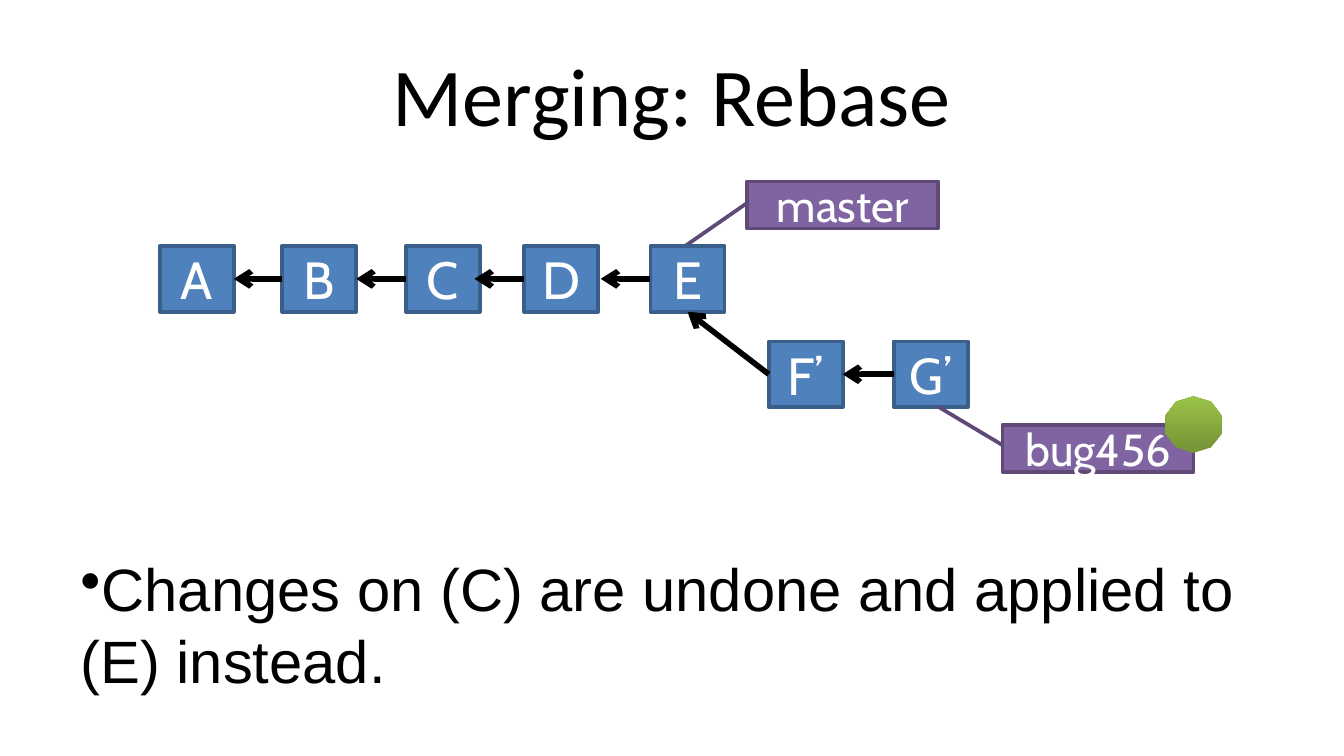
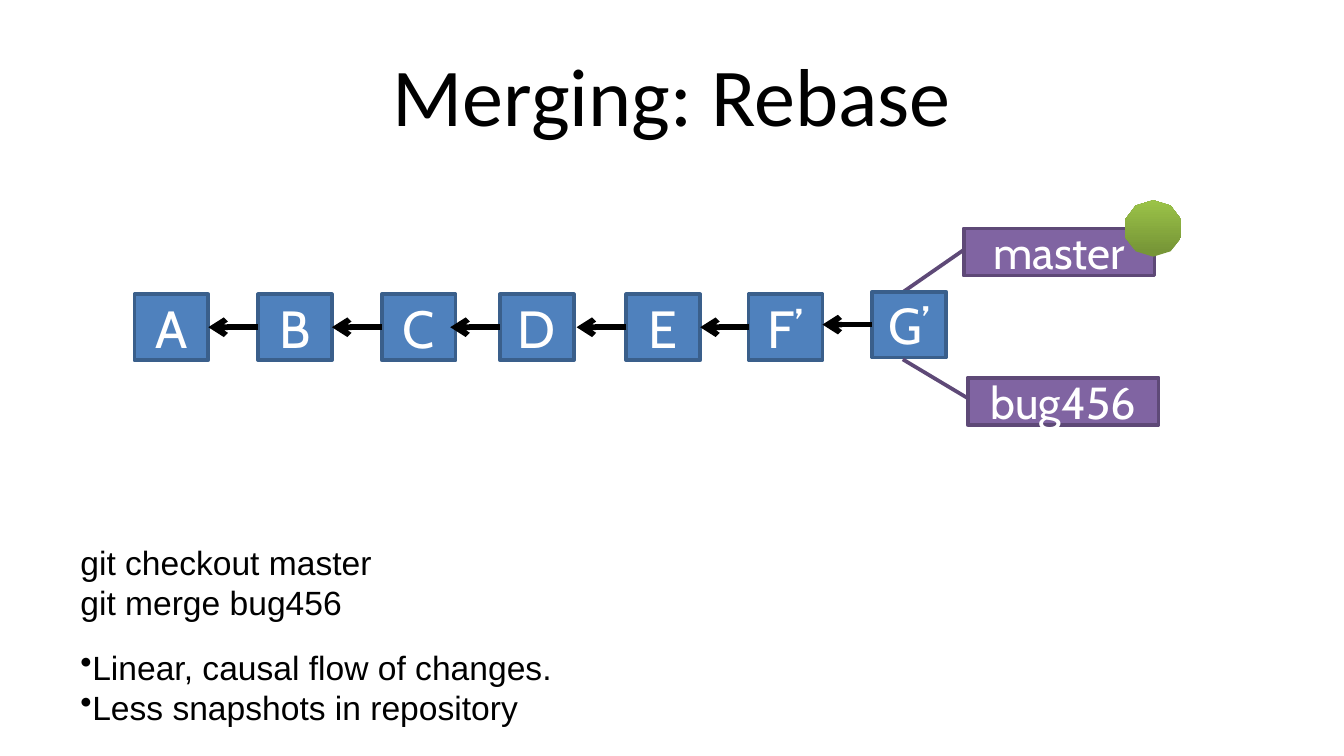
import dataclasses

import lxml.etree
import pptx
import pptx.dml.color
import pptx.enum.shapes
import pptx.enum.text
import pptx.oxml.ns
import pptx.util

Inches = pptx.util.Inches
Pt = pptx.util.Pt
SHAPE = pptx.enum.shapes.MSO_SHAPE
ALIGN = pptx.enum.text.PP_ALIGN
ANCHOR = pptx.enum.text.MSO_ANCHOR
qn = pptx.oxml.ns.qn


@dataclasses.dataclass(frozen=True)
class Theme:
    ink: str = "000000"
    white: str = "FFFFFF"
    commit_fill: str = "4F81BD"
    commit_line: str = "3A5F8B"
    branch_fill: str = "8064A2"
    branch_line: str = "5E4977"
    star_low: str = "779637"
    star_high: str = "9BC348"
    title_font: str = "Calibri"
    body_font: str = "Arial"
    label_font: str = "Cabin"
    title_size: int = 44
    lead_size: int = 32
    note_size: int = 18
    commit_size: int = 28
    last_commit_size: int = 27
    branch_size: int = 24
    outline: int = 2
    arrow: int = 3


THEME = Theme()
COMMIT_W, COMMIT_H = 0.55, 0.49
ARROW_LENGTH = 0.37
SNAP = 0.015
LEFT, BOTTOM, RIGHT = 1, 2, 3

# Where each branch label's leader starts and ends, as shares of the label's height and width
LEADER_DOWN = (0.446, 0.004, 1.383, -0.329)
LEADER_UP = (0.446, 0.004, -0.389, -0.34)


def rgb(value):
    return pptx.dml.color.RGBColor.from_string(value)


# Text
def add_run(paragraph, text, size, font, color):
    run = paragraph.add_run()
    run.text = text
    run.font.size = Pt(size)
    run.font.name = font
    run.font.color.rgb = rgb(color)


def add_text_frame(slide, left, top, width, height):
    frame = slide.shapes.add_textbox(
        Inches(left), Inches(top), Inches(width), Inches(height)).text_frame
    frame.word_wrap = True
    return frame


def add_title(slide, text):
    frame = add_text_frame(slide, 0.5, 0.23, 9, 0.94)
    frame.vertical_anchor = ANCHOR.MIDDLE
    heading = frame.paragraphs[0]
    heading.alignment = ALIGN.CENTER
    add_run(heading, text, THEME.title_size, THEME.title_font, THEME.ink)


def add_bullet(paragraph):
    properties = paragraph._p.get_or_add_pPr()
    properties.set("marL", "0")
    properties.set("indent", "0")
    lxml.etree.SubElement(properties, qn("a:buChar")).set("char", "•")


def add_notes(slide, top, height, size, commands, points):
    """Plain command lines, then bulleted points set off by a gap."""
    frame = add_text_frame(slide, 0.5, top, 9, height)
    for index, text in enumerate(commands + points):
        line = frame.add_paragraph() if index else frame.paragraphs[0]
        if index >= len(commands):
            add_bullet(line)
        if index and index == len(commands):
            line.space_before = Pt(13)
        add_run(line, text, size, THEME.body_font, THEME.ink)


# Commit graph
def add_label_shape(slide, kind, box, text, size, fill, outline):
    label = slide.shapes.add_shape(kind, *map(Inches, box))
    label.shadow.inherit = False
    label.fill.solid()
    label.fill.fore_color.rgb = rgb(fill)
    label.line.color.rgb = rgb(outline)
    label.line.width = Pt(THEME.outline)
    frame = label.text_frame
    frame.word_wrap = False
    frame.vertical_anchor = ANCHOR.MIDDLE
    frame.paragraphs[0].alignment = ALIGN.CENTER
    add_run(frame.paragraphs[0], text, size, THEME.label_font, THEME.white)
    return label


def add_commit(slide, name, left, top):
    size = THEME.last_commit_size if name == "G’" else THEME.commit_size
    return add_label_shape(slide, SHAPE.RECTANGLE, (left, top, COMMIT_W, COMMIT_H),
                           name, size, THEME.commit_fill, THEME.commit_line)


def add_branch(slide, name, left, top, leader):
    branch = add_label_shape(slide, SHAPE.LINE_CALLOUT_1, (left, top, 1.42, 0.35),
                             name, THEME.branch_size, THEME.branch_fill, THEME.branch_line)
    for index, share in enumerate(leader):
        branch.adjustments[index] = share


def add_parent_arrow(slide, child, parent):
    """Arrow from a commit back to its parent, level where both share a row."""
    y = child.top + child.height // 2
    tip = child.left - Inches(ARROW_LENGTH)
    arrow = slide.shapes.add_connector(
        pptx.enum.shapes.MSO_CONNECTOR.STRAIGHT, child.left, y, tip, y)
    arrow.begin_connect(child, LEFT)
    if child.top - parent.top > parent.height:
        arrow.end_connect(parent, BOTTOM)
    elif child.top == parent.top and abs(tip - parent.left - parent.width) <= Inches(SNAP):
        arrow.end_connect(parent, RIGHT)
    arrow.line.color.rgb = rgb(THEME.ink)
    arrow.line.width = Pt(THEME.arrow)
    lxml.etree.SubElement(arrow.line._get_or_add_ln(), qn("a:tailEnd")).set("type", "arrow")
    lxml.etree.SubElement(arrow._element.spPr, qn("a:effectLst"))


def add_history(slide, commits):
    parent = None
    for commit in commits:
        child = add_commit(slide, *commit)
        if parent is not None:
            add_parent_arrow(slide, child, parent)
        parent = child


def add_current_marker(slide, left, top):
    marker = slide.shapes.add_shape(
        SHAPE.STAR_5_POINT, Inches(left), Inches(top), Inches(0.42), Inches(0.38))
    marker.adjustments[0] = 0.5
    marker.shadow.inherit = False
    marker.line.fill.background()
    marker.fill.gradient()
    marker.fill.gradient_angle = 90
    for stop, color in zip(marker.fill.gradient_stops, (THEME.star_low, THEME.star_high)):
        stop.color.rgb = rgb(color)


# Slides
def add_rebase_slide(deck):
    slide = deck.slides.add_slide(deck.slide_layouts[6])
    add_title(slide, "Merging: Rebase")
    return slide


def add_replayed_changes(deck):
    slide = add_rebase_slide(deck)
    add_notes(slide, 4.06, 0.96, THEME.lead_size, [],
              ["Changes on (C) are undone and applied to (E) instead."])
    add_branch(slide, "master", 5.56, 1.35, LEADER_DOWN)
    trunk, rebased = 1.83, 2.54
    add_history(slide, [
        ("A", 1.19, trunk), ("B", 2.1, trunk), ("C", 3.02, trunk), ("D", 3.9, trunk),
        ("E", 4.84, trunk), ("F’", 5.72, rebased), ("G’", 6.65, rebased)])
    add_branch(slide, "bug456", 7.46, 3.16, LEADER_UP)
    add_current_marker(slide, 8.67, 2.95)


def add_merged_master(deck):
    slide = add_rebase_slide(deck)
    add_notes(slide, 3.98, 1.05, THEME.note_size,
              ["git checkout master", "git merge bug456"],
              ["Linear, causal flow of changes.", "Less snapshots in repository"])
    add_branch(slide, "master", 7.17, 1.7, LEADER_DOWN)
    trunk = 2.19
    add_history(slide, [
        ("A", 1, trunk), ("B", 1.92, trunk), ("C", 2.84, trunk), ("D", 3.72, trunk),
        ("E", 4.66, trunk), ("F’", 5.57, trunk), ("G’", 6.49, 2.17)])
    add_branch(slide, "bug456", 7.2, 2.81, LEADER_UP)
    add_current_marker(slide, 8.37, 1.49)


def main():
    deck = pptx.Presentation()
    deck.slide_width = Inches(10)
    deck.slide_height = deck.slide_width * 9 // 16
    add_replayed_changes(deck)
    add_merged_master(deck)
    deck.save("out.pptx")


if __name__ == "__main__":
    main()
